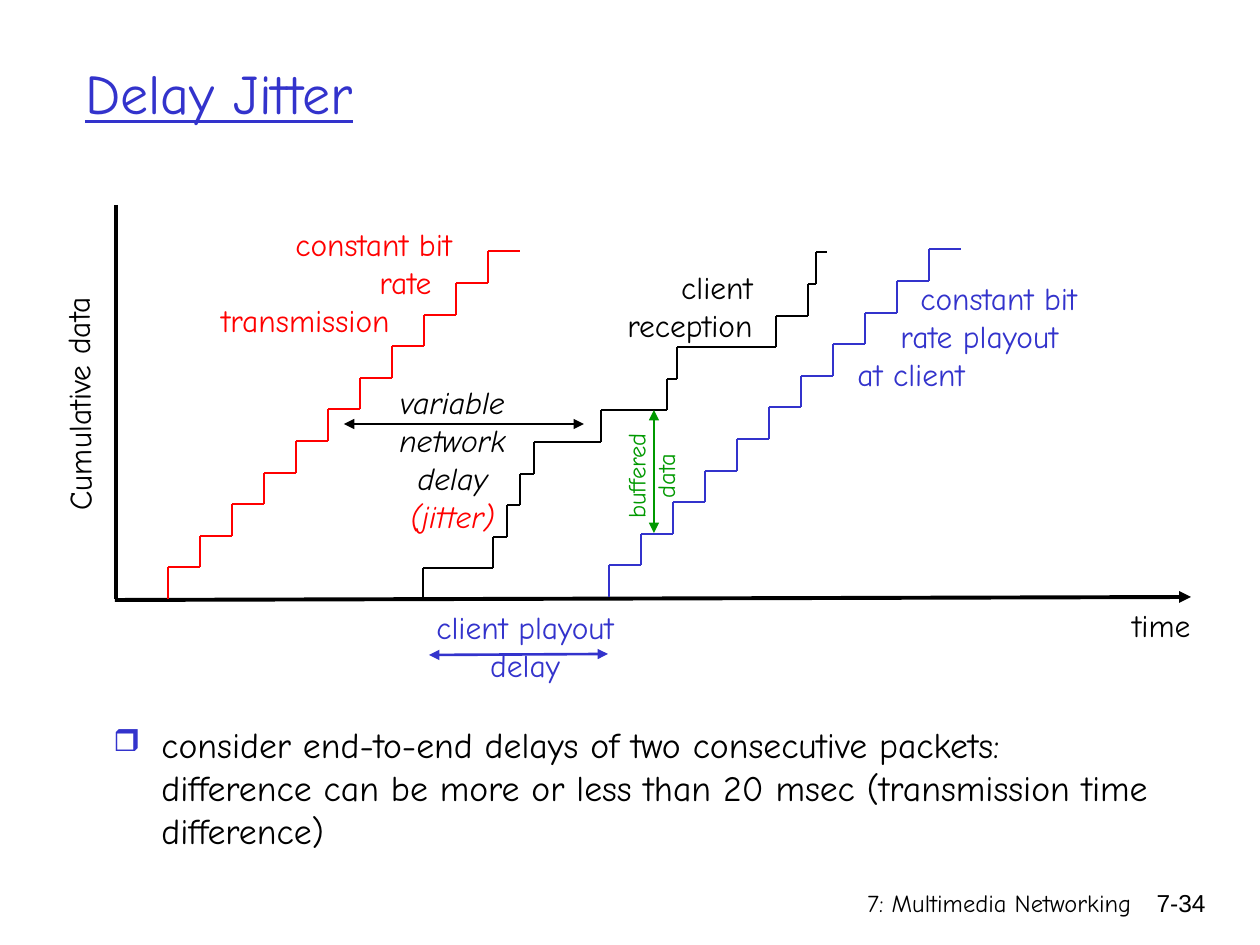
import pptx
import pptx.util
import pptx.dml.color
import pptx.enum.shapes
import pptx.enum.text
import pptx.oxml.ns
import lxml.etree

SCALE = 914400 / 126
HUES = {"black": "000000", "red": "FF0000", "blue": "3333CC", "green": "009900"}
ALIGN = pptx.enum.text.PP_ALIGN
qn = pptx.oxml.ns.qn

deck = pptx.Presentation()
deck.slide_width, deck.slide_height = round(1260 * SCALE), round(945 * SCALE)
slide = deck.slides.add_slide(deck.slide_layouts[6])


def line(ends, hue, width=1.5, heads=()):
    kind = pptx.enum.shapes.MSO_CONNECTOR.STRAIGHT
    wire = slide.shapes.add_connector(kind, *[round(v * SCALE) for v in ends])
    wire.line.color.rgb = pptx.dml.color.RGBColor.from_string(HUES[hue])
    wire.line.width = pptx.util.Pt(width)
    for head in heads:
        lxml.etree.SubElement(wire.line._get_or_add_ln(), qn("a:" + head), type="triangle")
    lxml.etree.SubElement(wire._element.spPr, qn("a:effectLst"))


def text(box, rows, hue, size=18, align=ALIGN.LEFT, turn=0, dents=(), **extra):
    shape = slide.shapes.add_textbox(*[round(v * SCALE) for v in box])
    shape.rotation = turn
    frame = shape.text_frame
    frame.word_wrap = True
    style = {"name": "Comic Neue", "size": pptx.util.Pt(size), **extra}
    for i, row in enumerate(rows):
        para = frame.paragraphs[0] if i == 0 else frame.add_paragraph()
        para.alignment = align
        if dents:
            para._p.get_or_add_pPr().set("marL", str(round(dents[i] * SCALE)))
        run = para.add_run()
        run.text = row
        run.font.color.rgb = pptx.dml.color.RGBColor.from_string(HUES[hue])
        for key, value in style.items():
            setattr(run.font, key, value)
    return frame


line((116, 205, 116, 599), "black", 2.25)
line((1191, 597, 115, 600), "black", 2.25, ["headEnd"])

stairs = [
    ("red", 599, range(168, 521, 32)),
    ("black", 600, [423, 493, 507, 520, 534, 601, 667, 677, 776, 808, 816, 827]),
    ("blue", 597, range(609, 962, 32)),
]
for hue, base, edges in stairs:
    tops = [base - round(31.6 * k) for k in range(len(edges))]
    for k in range(len(edges) - 1):
        line((edges[k], tops[k + 1], edges[k], tops[k]), hue)
        line((edges[k + 1], tops[k + 1], edges[k], tops[k + 1]), hue)

both = ["headEnd", "tailEnd"]
line((344, 424, 584, 424), "black", heads=both)
line((429, 655, 608, 654), "blue", heads=both)
line((654, 533, 654, 410), "green", heads=both)

text((209, 219, 267, 126), ["constant bit", "rate", "transmission"], "red", dents=(74, 158, 0))
text((835, 273, 267, 126), ["constant bit", "rate playout", "at client"], "blue", dents=(73, 53, 10))
text((594, 262, 171, 88), ["client", "reception"], "black", align=ALIGN.RIGHT)
text((-57, 363, 270, 50), ["Cumulative data"], "black", turn=269.4)
text((1120, 600, 93, 50), ["time"], "black")
text((409, 602, 232, 88), ["client playout", "delay"], "blue", align=ALIGN.CENTER)
text((585, 440, 132, 72), ["buffered", "data"], "green", 14, ALIGN.CENTER, 270)

delay = text((377, 377, 151, 164), ["variable", "network", "delay", "(jitter)"], "black",
             align=ALIGN.CENTER, italic=True)
delay.paragraphs[3].runs[0].font.color.rgb = pptx.dml.color.RGBColor.from_string(HUES["red"])

title = text((73, 32, 1125, 120), ["Delay Jitter"], "blue", 32, underline=True)
title.vertical_anchor = pptx.enum.text.MSO_ANCHOR.MIDDLE

body = text((101, 717, 1071, 122), [
    "consider end-to-end delays of two consecutive packets: difference can be more "
    "or less than 20 msec (transmission time difference)"], "black", 20.4, dents=(48,))
props = body.paragraphs[0]._p.get_or_add_pPr()
props.set("indent", str(-round(48 * SCALE)))
tint = lxml.etree.SubElement(props, qn("a:buClr"))
lxml.etree.SubElement(tint, qn("a:srgbClr"), val=HUES["blue"])
lxml.etree.SubElement(props, qn("a:buSzPct"), val="85000")
lxml.etree.SubElement(props, qn("a:buChar"), char="❒")

text((612, 882, 532, 63), ["7: Multimedia Networking"], "black", 14, ALIGN.RIGHT)
text((1125, 882, 93, 63), ["7-34"], "black", 14, ALIGN.RIGHT, name="Arial")

deck.save("out.pptx")
